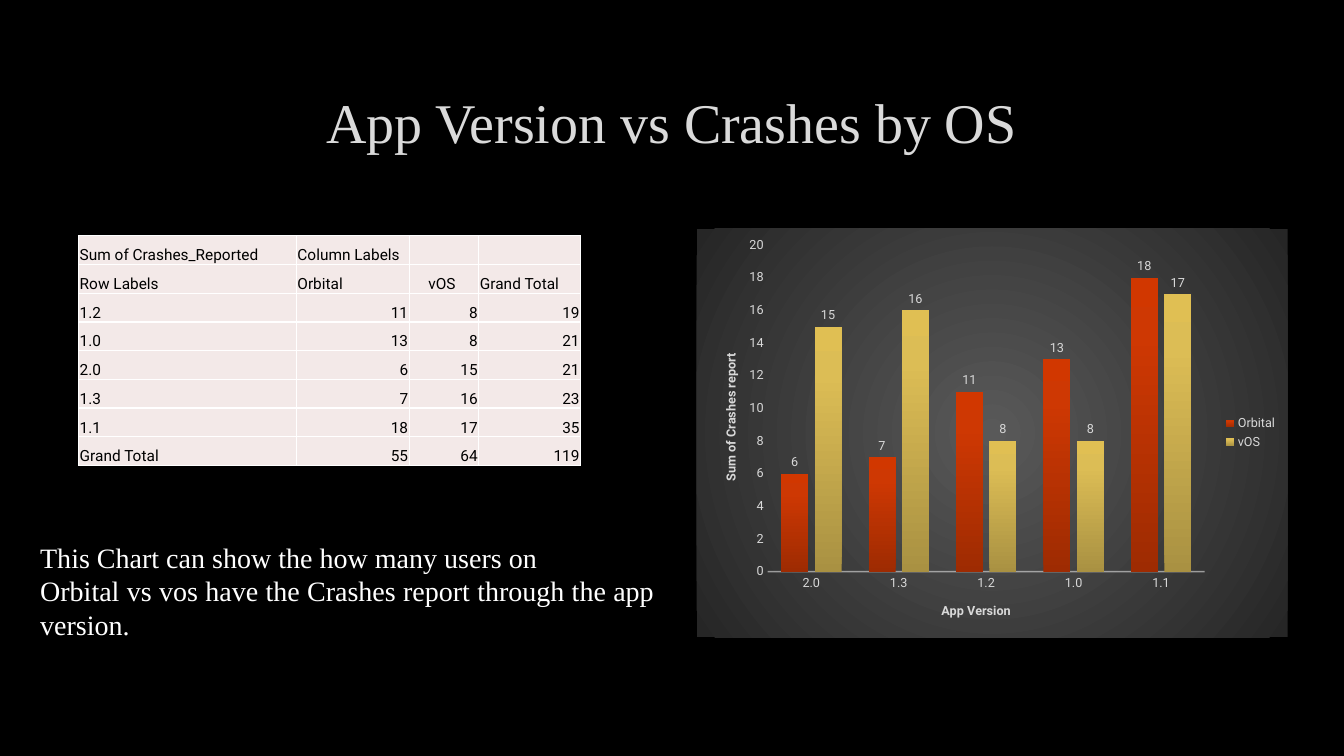
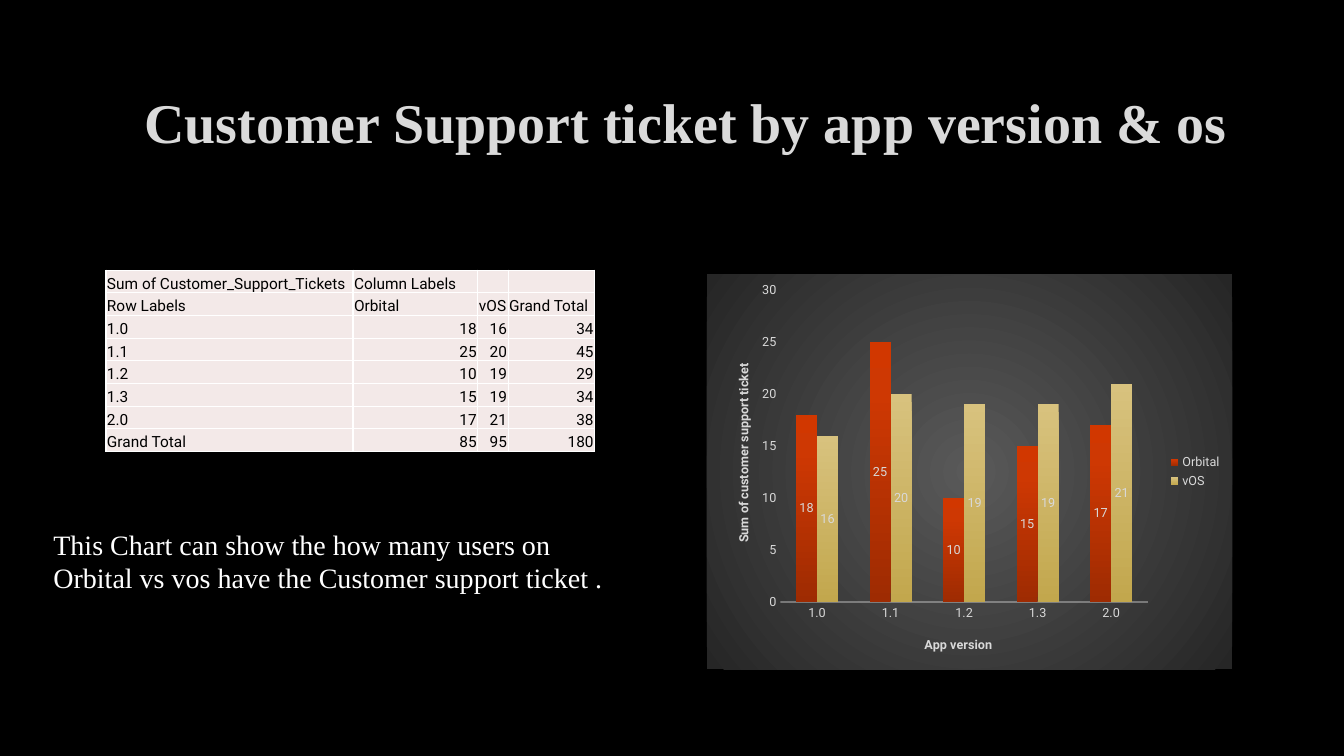
from dataclasses import dataclass
from typing import NamedTuple, Optional

from lxml.etree import SubElement
from pptx import Presentation
from pptx.chart.data import CategoryChartData
from pptx.dml.color import RGBColor
from pptx.enum.chart import XL_CHART_TYPE, XL_LABEL_POSITION, XL_LEGEND_POSITION, XL_TICK_MARK
from pptx.enum.text import MSO_ANCHOR, PP_ALIGN
from pptx.oxml import parse_xml
from pptx.oxml.ns import nsdecls, qn
from pptx.util import Inches, Pt

WIDTH, HEIGHT = Inches(13.33), Inches(7.5)
SERIF, SANS = "Times New Roman", "Roboto"
COLORS = {
    "back": "000000", "title": "DADADA", "outline": "404040", "body": "FFFFFF",
    "cell": "F3E9E8", "cell_text": "000000", "border": "FFFFFF",
    "chart_text": "D9D9D9", "axis": "F2F2F2",
}
PANEL = [(0, "595959"), (100, "262626")]
RED = [(0, "9E2B02"), (80, "CE3803"), (100, "D13700")]
GOLD = [(0, "A99142"), (80, "DCBD55"), (100, "E0BF53")]
SAND = [(0, "D8C27E"), (100, "C2A74D")]
TITLE_FONT = {"name": SERIF, "size": Pt(40)}
BODY_FONT = {"name": SERIF, "size": Pt(20)}
CELL_FONT = {"name": SANS, "size": Pt(11)}
CHART_FONT = {"name": SANS, "size": Pt(9), "bold": False}
AXIS_TITLE_FONT = {"name": SANS, "size": Pt(9), "bold": True}
OS_NAMES = ("Orbital", "vOS")


def across(share: float) -> int:
    """Percent of the slide's width."""
    return int(WIDTH * share / 100)


def down(share: float) -> int:
    """Percent of the slide's height."""
    return int(HEIGHT * share / 100)


class Box(NamedTuple):
    """Left, top, width and height in percent of the slide."""
    left: float
    top: float
    width: float
    height: float

    def place(self) -> tuple:
        return across(self.left), down(self.top), across(self.width), down(self.height)


TITLE_BOX = Box(7.5, 8.93, 84.92, 14.13)


class Gradient(NamedTuple):
    stops: list
    angle: Optional[int] = None


@dataclass
class PivotTable:
    left: float
    top: float
    columns: list
    row: float
    heading: str
    rows: list
    os_indent: float = 0.08


@dataclass
class BarChart:
    box: Box
    category_title: str
    value_title: str
    categories: list
    values: list
    fills: list
    labels: XL_LABEL_POSITION
    gap: int
    overlap: int
    maximum: int
    unit: int
    plot: tuple
    category_at: tuple
    value_at: tuple


@dataclass
class Report:
    title: str
    bold: bool
    title_shift: float
    table: PivotTable
    chart: BarChart
    note_box: Box
    note: list


def set_font(font, color: str, fmt: dict) -> None:
    for key, value in fmt.items():
        setattr(font, key, value)
    font.color.rgb = RGBColor.from_string(COLORS[color])


def add_text(s, box: Box, lines: list, color: str, fmt: dict, align: PP_ALIGN,
             anchor: MSO_ANCHOR = MSO_ANCHOR.TOP):
    tf = s.shapes.add_textbox(*box.place()).text_frame
    tf.word_wrap = True
    tf.vertical_anchor = anchor
    for i, line in enumerate(lines):
        p = tf.add_paragraph() if i else tf.paragraphs[0]
        p.alignment = align
        r = p.add_run()
        r.text = line
        set_font(r.font, color, fmt)
    return tf


def add_title(s, report: Report) -> None:
    tf = add_text(s, TITLE_BOX, [report.title], "title",
                  TITLE_FONT | {"bold": report.bold}, PP_ALIGN.CENTER, MSO_ANCHOR.MIDDLE)
    tf.margin_left += across(report.title_shift)
    rpr = tf.paragraphs[0].runs[0].font._element
    rpr.insert(0, line_xml("ln", COLORS["outline"], Pt(0.75), 10))


def line_xml(tag: str, color: str, width: int, opacity: int = 100):
    return parse_xml(
        f'<a:{tag} {nsdecls("a")} w="{int(width)}"><a:solidFill><a:srgbClr val="{color}">'
        f'<a:alpha val="{opacity * 1000}"/></a:srgbClr></a:solidFill></a:{tag}>')


def gradient_xml(gradient: Gradient):
    """Linear fill, or a circular one from the centre when there is no angle."""
    stops = "".join(f'<a:gs pos="{pos * 1000}"><a:srgbClr val="{color}"/></a:gs>'
                    for pos, color in gradient.stops)
    if gradient.angle is None:
        course = ('<a:path path="circle"><a:fillToRect l="50000" t="50000" '
                  'r="50000" b="50000"/></a:path>')
    else:
        course = f'<a:lin ang="{gradient.angle * 60000}" scaled="0"/>'
    return parse_xml(f'<a:gradFill {nsdecls("a")}><a:gsLst>{stops}</a:gsLst>{course}</a:gradFill>')


def fill_cell(cell, text: str, align: PP_ALIGN, indent: float) -> None:
    margins = {"margin_left": across(indent), "margin_right": across(0.08),
               "margin_top": down(0.13), "margin_bottom": 0,
               "vertical_anchor": MSO_ANCHOR.BOTTOM}
    for key, value in margins.items():
        setattr(cell, key, value)
    cell.fill.solid()
    cell.fill.fore_color.rgb = RGBColor.from_string(COLORS["cell"])
    for i, tag in enumerate(("lnL", "lnR", "lnT", "lnB")):
        cell._tc.tcPr.insert(i, line_xml(tag, COLORS["border"], Pt(1)))
    p = cell.text_frame.paragraphs[0]
    p.alignment = align
    if text:
        r = p.add_run()
        r.text = text
        set_font(r.font, "cell_text", CELL_FONT)
    else:
        SubElement(p._p, qn("a:endParaRPr"), sz="1100")


def add_pivot(s, pivot: PivotTable) -> None:
    """Add the counts with row and column totals worked out."""
    body = [(name, a, b, a + b) for name, a, b in pivot.rows]
    totals = [sum(column) for column in list(zip(*body))[1:]]
    grid = [(pivot.heading, "Column Labels", "", ""),
            ("Row Labels", *OS_NAMES, "Grand Total"),
            *body, ("Grand Total", *totals)]
    box = Box(pivot.left, pivot.top, sum(pivot.columns), pivot.row * len(grid))
    table = s.shapes.add_table(len(grid), len(pivot.columns), *box.place()).table
    table.first_row = table.horz_banding = False
    for column, width in zip(table.columns, pivot.columns):
        column.width = across(width)
    for i, values in enumerate(grid):
        table.rows[i].height = down(pivot.row)
        for j, value in enumerate(values):
            align = PP_ALIGN.RIGHT if isinstance(value, int) else PP_ALIGN.LEFT
            indent = pivot.os_indent if (i, j) == (1, 2) else 0.08
            fill_cell(table.cell(i, j), str(value), align, indent)


def set_layout(parent, index: int, shares: tuple) -> None:
    """Fix a chart part at x, y (and w, h) as shares of the chart."""
    for old in parent.findall(qn("c:layout")):
        parent.remove(old)
    target = '<c:layoutTarget val="inner"/>' if len(shares) == 4 else ""
    modes = '<c:xMode val="edge"/><c:yMode val="edge"/>'
    sizes = "".join(f'<c:{k} val="{v}"/>' for k, v in zip("xywh", shares))
    parent.insert(index, parse_xml(
        f'<c:layout {nsdecls("c")}><c:manualLayout>{target}{modes}{sizes}'
        '</c:manualLayout></c:layout>'))


def style_axis(axis, title: str, at: tuple) -> None:
    axis.has_major_gridlines = False
    axis.major_tick_mark = axis.minor_tick_mark = XL_TICK_MARK.NONE
    set_font(axis.tick_labels.font, "chart_text", CHART_FONT)
    p = axis.axis_title.text_frame.paragraphs[0]
    r = p.add_run()
    r.text = title
    set_font(r.font, "chart_text", AXIS_TITLE_FONT)
    set_layout(axis.axis_title._element, 1, at)


def add_bars(s, bars: BarChart) -> None:
    data = CategoryChartData()
    data.categories = bars.categories
    for name, values in zip(OS_NAMES, bars.values):
        data.add_series(name, values)
    chart = s.shapes.add_chart(XL_CHART_TYPE.COLUMN_CLUSTERED, *bars.box.place(), data).chart
    chart.has_title = False
    set_font(chart.font, "body", {"name": SANS, "size": Pt(10)})
    chart.has_legend = True
    chart.legend.position = XL_LEGEND_POSITION.RIGHT
    chart.legend.include_in_layout = False
    set_font(chart.legend.font, "chart_text", CHART_FONT)

    root = chart._chartSpace.find(qn("c:chart"))
    panel = parse_xml(f'<c:spPr {nsdecls("c", "a")}><a:ln><a:noFill/></a:ln></c:spPr>')
    panel.insert(0, gradient_xml(Gradient(PANEL)))
    root.addnext(panel)
    set_layout(root.find(qn("c:plotArea")), 0, bars.plot)

    style_axis(chart.category_axis, bars.category_title, bars.category_at)
    style_axis(chart.value_axis, bars.value_title, bars.value_at)
    line = chart.category_axis.format.line
    line.width = Pt(1)
    line.color.rgb = RGBColor.from_string(COLORS["axis"])
    color = line._ln.find(".//" + qn("a:srgbClr"))
    SubElement(color, qn("a:alpha"), val="54000")
    scale = {"minimum_scale": 0, "maximum_scale": bars.maximum, "major_unit": bars.unit}
    for key, value in scale.items():
        setattr(chart.value_axis, key, value)
    chart.value_axis.format.line.fill.background()

    plot = chart.plots[0]
    plot.vary_by_categories = False
    plot.gap_width, plot.overlap = bars.gap, bars.overlap
    for series, fill in zip(plot.series, bars.fills):
        series._element.get_or_add_spPr().insert(0, gradient_xml(fill))
        labels = series.data_labels
        labels.show_value = True
        labels.position = bars.labels
        set_font(labels.font, "chart_text", CHART_FONT)


REPORTS = [
    Report(
        "App Version vs Crashes by OS", False, 0,
        PivotTable(5.85, 31.2, [16.2, 8.4, 5.18, 7.58], 3.8, "Sum of Crashes_Reported",
                   [("1.2", 11, 8), ("1.0", 13, 8), ("2.0", 6, 15),
                    ("1.3", 7, 16), ("1.1", 18, 17)], 1.42),
        BarChart(Box(51.84, 30.27, 43.96, 54), "App Version", "Sum of Crashes report",
                 ["2.0", "1.3", "1.2", "1.0", "1.1"],
                 [(6, 7, 11, 13, 18), (15, 16, 8, 8, 17)],
                 [Gradient(RED, 270), Gradient(GOLD, 270)],
                 XL_LABEL_POSITION.OUTSIDE_END, 100, -24, 20, 2,
                 (0.12, 0.04, 0.74, 0.8), (0.41, 0.91), (0.04, 0.3)),
        Box(2.25, 70.8, 47.19, 14.8),
        ["This Chart can show the how many users on",
         "Orbital vs vos have the Crashes report through the app version."]),
    Report(
        "Customer Support ticket by app version & os", True, 2.08,
        PivotTable(7.88, 35.73, [18.38, 9.3, 2.25, 6.45], 3, "Sum of Customer_Support_Tickets",
                   [("1.0", 18, 16), ("1.1", 25, 20), ("1.2", 10, 19),
                    ("1.3", 15, 19), ("2.0", 17, 21)]),
        BarChart(Box(52.59, 36.27, 39.08, 52.27), "App version",
                 "Sum of customer support ticket",
                 ["1.0", "1.1", "1.2", "1.3", "2.0"],
                 [(18, 25, 10, 15, 17), (16, 20, 19, 19, 21)],
                 [Gradient(RED, 270), Gradient(SAND, 90)],
                 XL_LABEL_POSITION.CENTER, 150, 0, 30, 5,
                 (0.14, 0.04, 0.7, 0.79), (0.41, 0.91), (0.05, 0.22)),
        Box(3.23, 69.07, 50.04, 10.27),
        ["This Chart can show the how many users on",
         "Orbital vs vos have the Customer support ticket ."]),
]


def main() -> None:
    prs = Presentation()
    prs.slide_width, prs.slide_height = WIDTH, HEIGHT
    for report in REPORTS:
        s = prs.slides.add_slide(prs.slide_layouts[6])
        s.background.fill.solid()
        s.background.fill.fore_color.rgb = RGBColor.from_string(COLORS["back"])
        add_title(s, report)
        add_pivot(s, report.table)
        add_bars(s, report.chart)
        add_text(s, report.note_box, report.note, "body", BODY_FONT, PP_ALIGN.JUSTIFY)
    prs.save("out.pptx")


if __name__ == "__main__":
    main()
